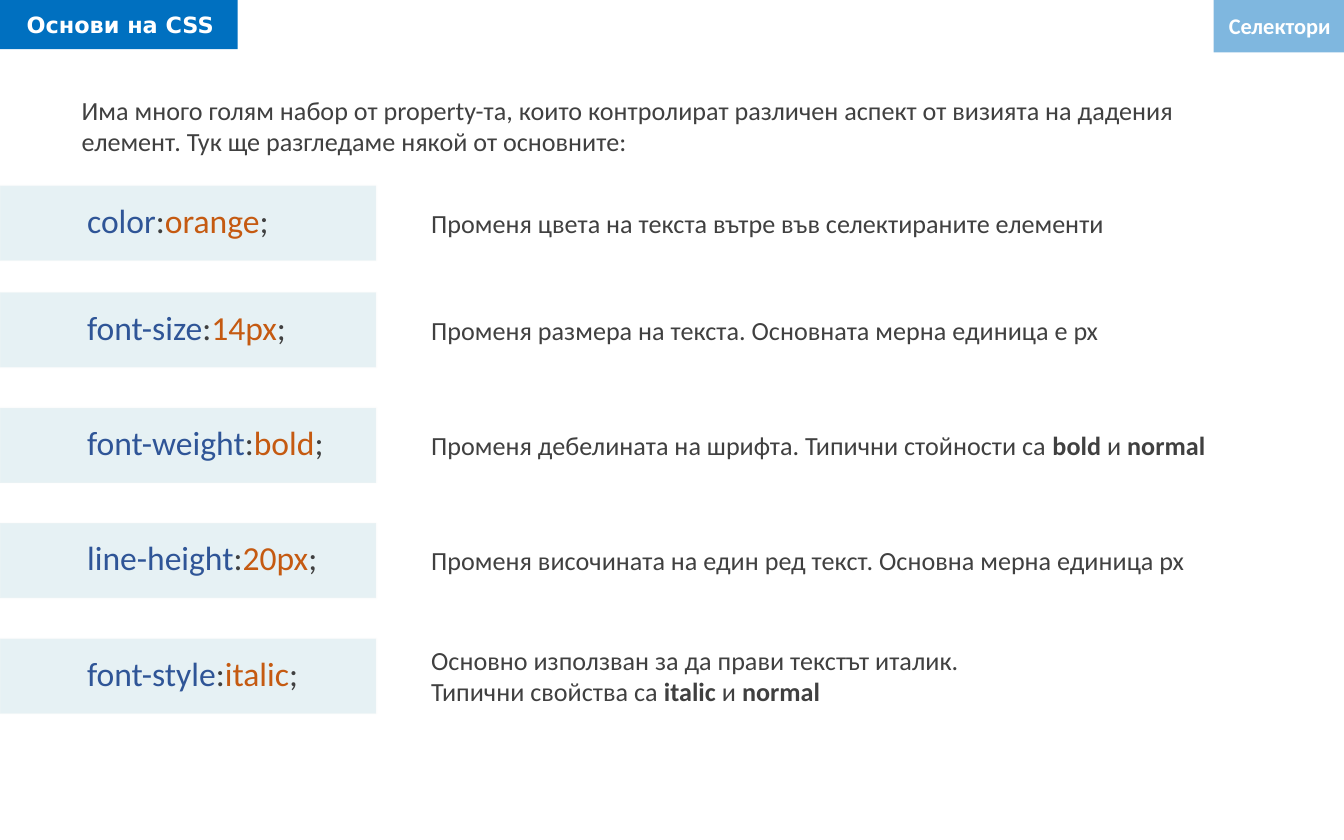
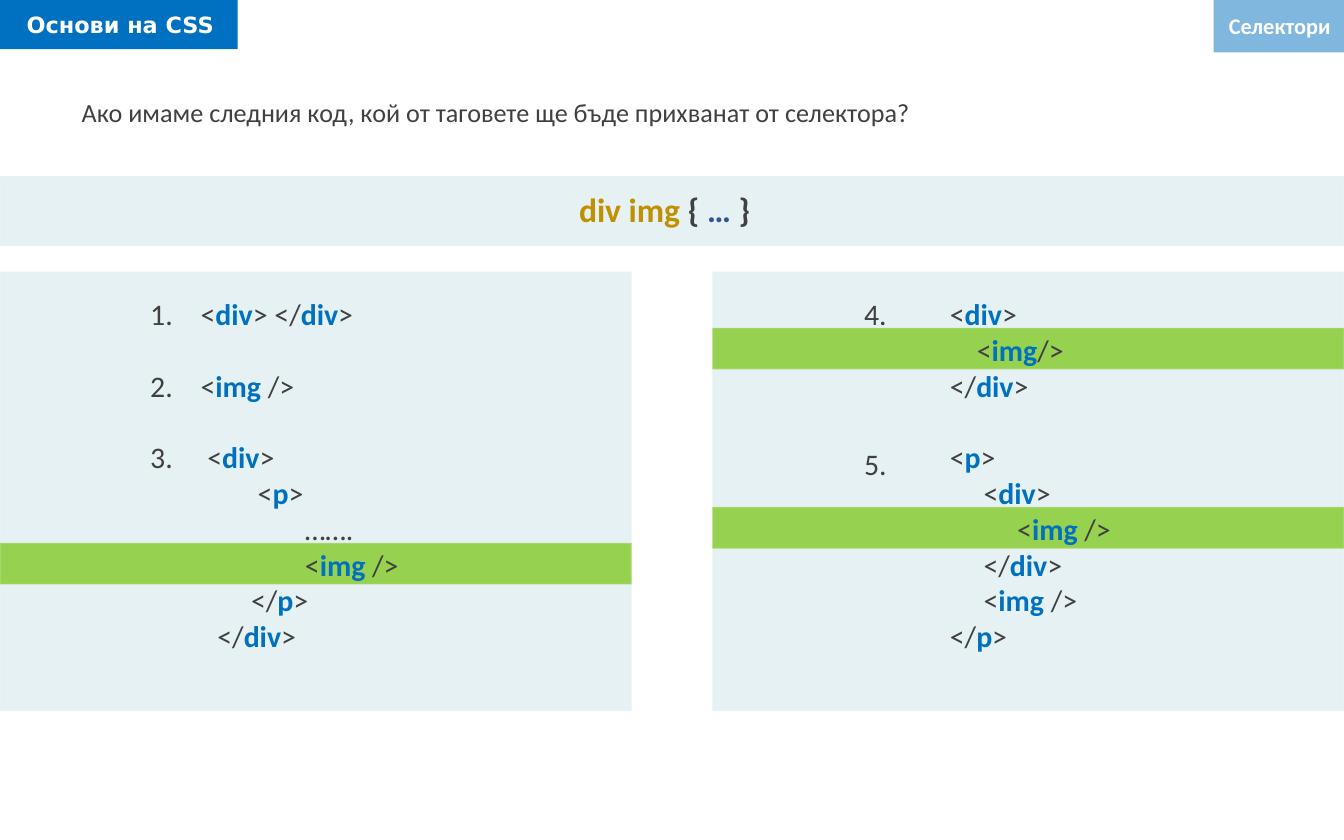
import lxml.etree
import pptx
import pptx.dml.color
import pptx.enum.shapes
import pptx.enum.text
import pptx.oxml.ns
import pptx.util

Pt = pptx.util.Pt
qn = pptx.oxml.ns.qn
RIGHT = pptx.enum.text.PP_ALIGN.RIGHT

COLOURS = {
    "blue": "0070C0",
    "white": "FFFFFF",
    "text": "404040",
    "teal": "127994",
    "edge": "F8F8F8",
    "green": "96D14F",
    "property": "2F5597",
    "value": "C55A11",
    "selector": "BF9000",
}
PAGE_WIDTH = 720
PAGE_HEIGHT = 450
CODE_TOP = 154.8
CODE_STEP = 19.2
PANEL_WIDTH = 338.4
RIGHT_PANEL = PAGE_WIDTH - PANEL_WIDTH


def colour(name):
    return pptx.dml.color.RGBColor.from_string(COLOURS[name])


def mark(line, accent="text"):
    return [
        (part, accent if index % 2 else "text", bool(index % 2))
        for index, part in enumerate(line.split("|"))
        if part
    ]


class Deck:
    def __init__(self):
        self.deck = pptx.Presentation()
        self.deck.slide_width = Pt(PAGE_WIDTH)
        self.deck.slide_height = Pt(PAGE_HEIGHT)
        self.page = None

    def add_page(self):
        self.page = self.deck.slides.add_slide(self.deck.slide_layouts[6])

    def band(self, left, top, width, height, fill, opacity=100, edged=False):
        shape = self.page.shapes.add_shape(
            pptx.enum.shapes.MSO_SHAPE.RECTANGLE, Pt(left), Pt(top), Pt(width), Pt(height)
        )
        shape.shadow.inherit = False
        shape.fill.solid()
        shape.fill.fore_color.rgb = colour(fill)
        properties = shape._element.spPr
        self.fade(properties, opacity)
        if edged:
            shape.line.color.rgb = colour("edge")
            shape.line.width = Pt(1)
            self.fade(properties.find(qn("a:ln")), 16)
        else:
            shape.line.fill.background()

    def fade(self, parent, opacity):
        if opacity < 100:
            tint = parent.find(qn("a:solidFill")).find(qn("a:srgbClr"))
            lxml.etree.SubElement(tint, qn("a:alpha"), val=str(opacity * 1000))

    def panel(self, left, top, width, height):
        self.band(left, top, width, height, "teal", opacity=10, edged=True)

    def text_box(self, left, top, width, height, wrap=True):
        box = self.page.shapes.add_textbox(Pt(left), Pt(top), Pt(width), Pt(height))
        box.text_frame.word_wrap = wrap
        box.text_frame.auto_size = pptx.enum.text.MSO_AUTO_SIZE.SHAPE_TO_FIT_TEXT
        return box.text_frame

    def fill_paragraph(self, para, spans, size, font="Calibri"):
        para.font.size = Pt(size)
        para.font.name = font
        shades = {shade for _, shade, _ in spans}
        weights = {bold for _, _, bold in spans}
        if len(shades) == 1:
            para.font.color.rgb = colour(spans[0][1])
        if len(weights) == 1:
            para.font.bold = spans[0][2]
        for words, shade, bold in spans:
            span = para.add_run()
            span.text = words
            if len(shades) > 1:
                span.font.color.rgb = colour(shade)
            if len(weights) > 1:
                span.font.bold = bold

    def text(self, left, top, width, height, paragraphs, size,
             font="Calibri", wrap=True, align=None):
        frame = self.text_box(left, top, width, height, wrap)
        for index, spans in enumerate(paragraphs):
            para = frame.add_paragraph() if index else frame.paragraphs[0]
            para.alignment = align
            self.fill_paragraph(para, spans, size, font)

    def code(self, left, width, height, lines, first_number=None):
        frame = self.text_box(left, CODE_TOP, width, height)
        number = first_number
        for index, (line, starts_item) in enumerate(lines):
            para = frame.add_paragraph() if index else frame.paragraphs[0]
            if index and starts_item:
                para.space_before = Pt(CODE_STEP)
            if first_number and starts_item:
                self.number(para, number)
                number += 1
            elif first_number:
                para.level = 1
                self.indent(para, 36, 0)
            self.fill_paragraph(para, mark(line, "blue"), 16)

    def indent(self, para, margin, hanging):
        properties = para._p.get_or_add_pPr()
        properties.set("marL", str(Pt(margin)))
        properties.set("indent", str(Pt(hanging)))
        return properties

    def number(self, para, start):
        properties = self.indent(para, 27, -27)
        lxml.etree.SubElement(
            properties, qn("a:buAutoNum"), type="arabicPeriod", startAt=str(start)
        )

    def highlight(self, left, row):
        top = CODE_TOP + 1.6 + CODE_STEP * row
        self.band(left, top, PANEL_WIDTH, 22.3, "green", edged=True)

    def header(self):
        self.band(0, -1.4, 127.4, 27.7, "blue")
        self.text(7.2, 2.2, 120.2, 21.8, [[("Основи на CSS", "white", True)]], 12, "DejaVu Sans")
        self.band(650.2, 0, 69.8, 28.1, "blue", opacity=50)
        self.text(650.2, 2.9, 69.8, 21.8, [[("Селектори", "white", True)]], 12,
                  wrap=False, align=RIGHT)

    def intro(self, top, height, words):
        self.text(36.7, top, 652.3, height, [mark(words)], 14)


def properties_page(deck):
    deck.add_page()
    deck.header()
    deck.intro(46.8, 41, "Има много голям набор от property-та, които контролират различен "
               "аспект от визията на дадения елемент. Тук ще разгледаме някой от основните:")
    rows = [
        ("color", "orange", 113, ["Променя цвета на текста вътре във селектираните елементи"]),
        ("font-size", "14px", 123.1, ["Променя размера на текста. Основната мерна единица е px"]),
        ("font-weight", "bold", 143.3,
         ["Променя дебелината на шрифта. Типични стойности са |bold |и |normal"]),
        ("line-height", "20px", 142.6,
         ["Променя височината на един ред текст. Основна мерна единица px"]),
        ("font-style", "italic", 129.6,
         ["Основно използван за да прави текстът италик.",
          "Типични свойства са |italic |и |normal"]),
    ]
    tops = [99.5] + [156.7 + 61.8 * step for step in range(4)]
    band_height = 40.2
    for top, (name, value, width, lines) in zip(tops, rows):
        deck.panel(0, top, 201.6, band_height)
        declaration = [(name, "property", False), (":", "text", False),
                       (value, "value", False), (";", "text", False)]
        deck.text(39.6, top + 3.9, width, 29.1, [declaration], 18, wrap=False)
        height = 7.5 + 16.8 * len(lines)
        deck.text(223.9, top + (band_height - height) / 2, 475.9, height,
                  [mark(line) for line in lines], 14)


def quiz_page(deck):
    deck.add_page()
    for left in (0, RIGHT_PANEL):
        deck.panel(left, 145.6, PANEL_WIDTH, 235.4)
    deck.header()
    deck.panel(0, 94.3, PAGE_WIDTH, 37.5)
    selector = [("div img ", "selector", True), ("{ ", "text", True),
                ("… ", "property", True), ("}", "text", True)]
    deck.text(303.1, 97.4, 147.6, 29.1, [selector], 18)
    deck.intro(48.2, 24.3, "Ако имаме следния код, кой от таговете ще бъде прихванат от селектора?")
    for label, top in (("4.", CODE_TOP), ("5.", 235.4)):
        deck.text(455.8, top, 29.5, 26.6, [mark(label)], 16)

    deck.highlight(0, 7)
    deck.code(73.4, 200.2, 200.9, [
        ("<|div|> </|div|>", True),
        ("<|img |/>", True),
        (" <|div|>", True),
        ("      <|p|>", False),
        ("             …….", False),
        ("             <|img| />", False),
        ("     </|p|>", False),
        ("</|div|>", False),
    ], first_number=1)

    for row in (1, 6):
        deck.highlight(RIGHT_PANEL, row)
    deck.code(501.8, 200.2, 239.8, [
        ("<|div|>", True),
        ("    <|img|/>", False),
        ("</|div|>", False),
        ("<|p|>", True),
        ("     <|div|>", False),
        ("          <|img| />", False),
        ("     </|div|>", False),
        ("     <|img| />", False),
        ("</|p|>", False),
    ])


def main():
    deck = Deck()
    properties_page(deck)
    quiz_page(deck)
    deck.deck.save("out.pptx")


if __name__ == "__main__":
    main()
